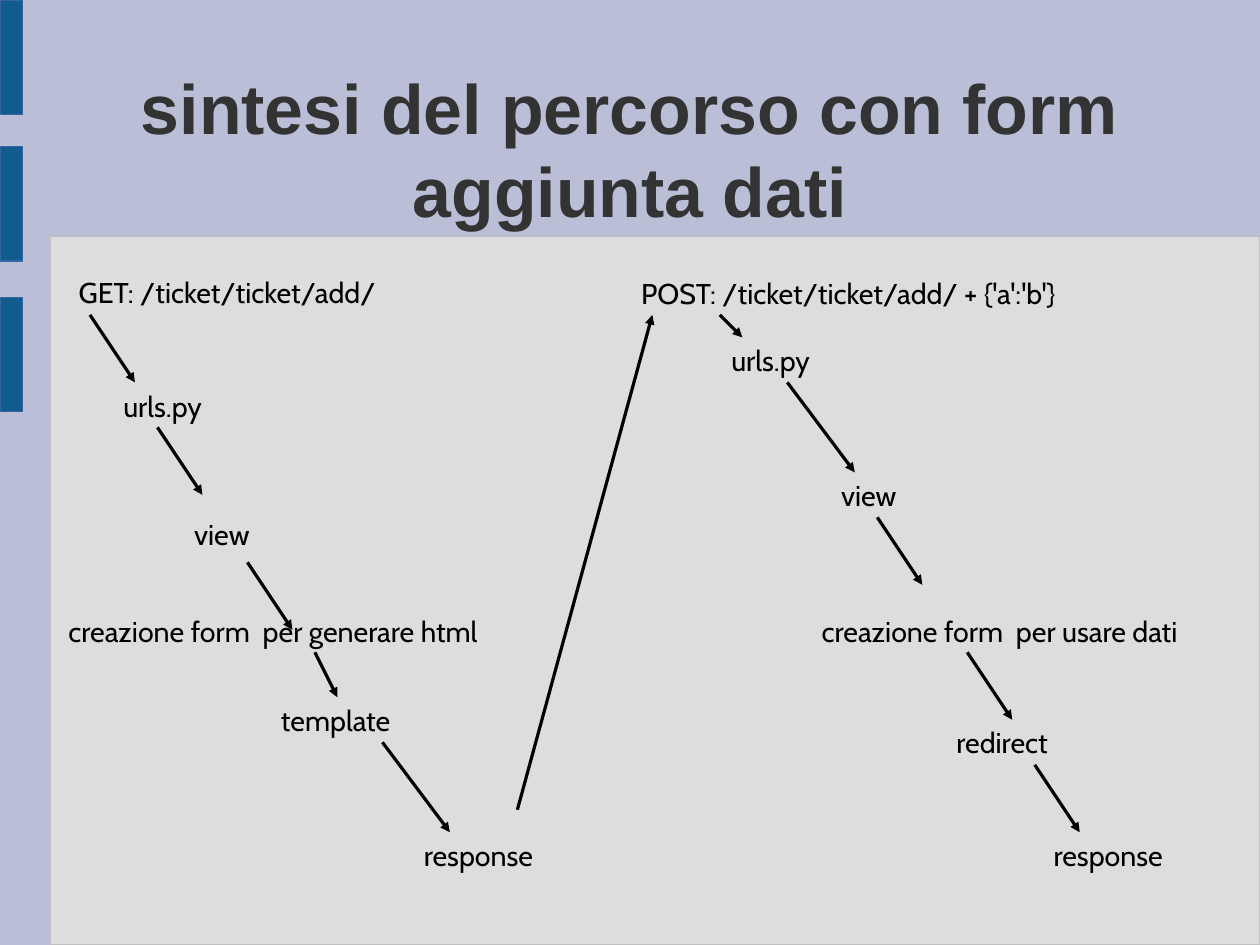
from pptx import Presentation
from pptx.dml.color import RGBColor
from pptx.enum.shapes import MSO_CONNECTOR, MSO_SHAPE
from pptx.enum.text import MSO_ANCHOR as ANCHOR, MSO_AUTO_SIZE as AUTO, PP_ALIGN as ALIGN
from pptx.oxml.ns import qn
from pptx.util import Pt
from lxml.etree import SubElement

LAVENDER = RGBColor(0xBA, 0xBE, 0xD6)
PANEL = RGBColor(0xDD, 0xDD, 0xDD)
PANEL_EDGE = RGBColor(0xC0, 0xC0, 0xC0)
BAR = RGBColor(0x12, 0x5C, 0x8D)
BAR_EDGE = RGBColor(0x34, 0x65, 0xA4)
CHARCOAL = RGBColor(0x33, 0x33, 0x33)
BLACK = RGBColor(0, 0, 0)

WIDTH, HEIGHT = 793.7, 595.3
GRID = 14.17
LABEL_HEIGHT = 28.1
BAR_TOPS = (0, 92.2, 187.2)

TITLE_FONT = {"name": "Arial", "size": Pt(44), "bold": True}
LABEL_FONT = {"name": "Cabin", "size": Pt(18)}
TITLE_FRAME = {"word_wrap": True, "vertical_anchor": ANCHOR.MIDDLE,
               "margin_left": 0, "margin_top": 0, "margin_right": 0, "margin_bottom": 0}
LABEL_FRAME = {"word_wrap": False, "auto_size": AUTO.SHAPE_TO_FIT_TEXT}

GET_STEPS = [
    ("GET: /ticket/ticket/add/", 42.5, 169.9, 221.8),
    ("urls.py", 70.6, 241.2, 74.9),
    ("view", 115.2, 321.8, 55.4),
    ("creazione form  per generare html", 36, 383, 325.4),
    ("template", 169.9, 439.2, 95.8),
    ("response", 259.9, 524.2, 96.5),
]
POST_STEPS = [
    ("POST: /ticket/ticket/add/ + {'a':'b'}", 396.7, 170.6, 330.5),
    ("urls.py", 453.6, 212.4, 74.9),
    ("view", 522.7, 297.4, 55.4),
    ("creazione form  per usare dati", 510.5, 383, 287.3),
    ("redirect", 595.4, 452.9, 84.2),
    ("response", 656.6, 524.2, 96.5),
]
GET_ARROWS = [(4, 14, 6, 17), (7, 19, 9, 22), (11, 25, 13, 28), (14, 29, 15, 31), (17, 33, 20, 37)]
RESUBMIT_ARROW = (23, 36, 29, 14)
POST_ARROWS = [(32, 14, 33, 15), (35, 17, 38, 21), (39, 23, 41, 26), (43, 29, 45, 32), (46, 34, 48, 37)]


def set_all(obj, values):
    for name, value in values.items():
        setattr(obj, name, value)


def add_block(slide, box, fill, edge):
    sp = slide.shapes.add_shape(MSO_SHAPE.RECTANGLE, *map(Pt, box))
    sp.shadow.inherit = False
    sp.fill.solid()
    sp.fill.fore_color.rgb = fill
    sp.line.color.rgb = edge
    sp.line.width = Pt(0)


def add_text(slide, text, box, frame, font, color, align=ALIGN.LEFT):
    tf = slide.shapes.add_textbox(*map(Pt, box)).text_frame
    set_all(tf, frame)
    p = tf.paragraphs[0]
    p.alignment = align
    r = p.add_run()
    r.text = text
    set_all(r.font, font)
    r.font.color.rgb = color


def add_arrow(slide, cells):
    ends = [Pt(cell * GRID) for cell in cells]
    sp = slide.shapes.add_connector(MSO_CONNECTOR.STRAIGHT, *ends)
    sp.line.color.rgb = BLACK
    sp.line.width = Pt(0)
    SubElement(sp.line._get_or_add_ln(), qn("a:tailEnd"), type="triangle")
    SubElement(sp._element.spPr, qn("a:effectLst"))


def main():
    prs = Presentation()
    prs.slide_width, prs.slide_height = Pt(WIDTH), Pt(HEIGHT)
    slide = prs.slides.add_slide(prs.slide_layouts[6])
    slide.background.fill.solid()
    slide.background.fill.fore_color.rgb = LAVENDER

    add_block(slide, (31.9, 149, 761.8, 446.3), PANEL, PANEL_EDGE)
    for top in BAR_TOPS:
        add_block(slide, (0, top, 14.2, 72.2), BAR, BAR_EDGE)

    add_text(slide, "sintesi del percorso con form aggiunta dati", (58.3, 41.8, 677.5, 103),
             TITLE_FRAME, TITLE_FONT, CHARCOAL, ALIGN.CENTER)
    for text, left, top, width in GET_STEPS + POST_STEPS:
        add_text(slide, text, (left, top, width, LABEL_HEIGHT), LABEL_FRAME, LABEL_FONT, BLACK)
    for cells in GET_ARROWS + [RESUBMIT_ARROW] + POST_ARROWS:
        add_arrow(slide, cells)

    prs.save("out.pptx")


main()
